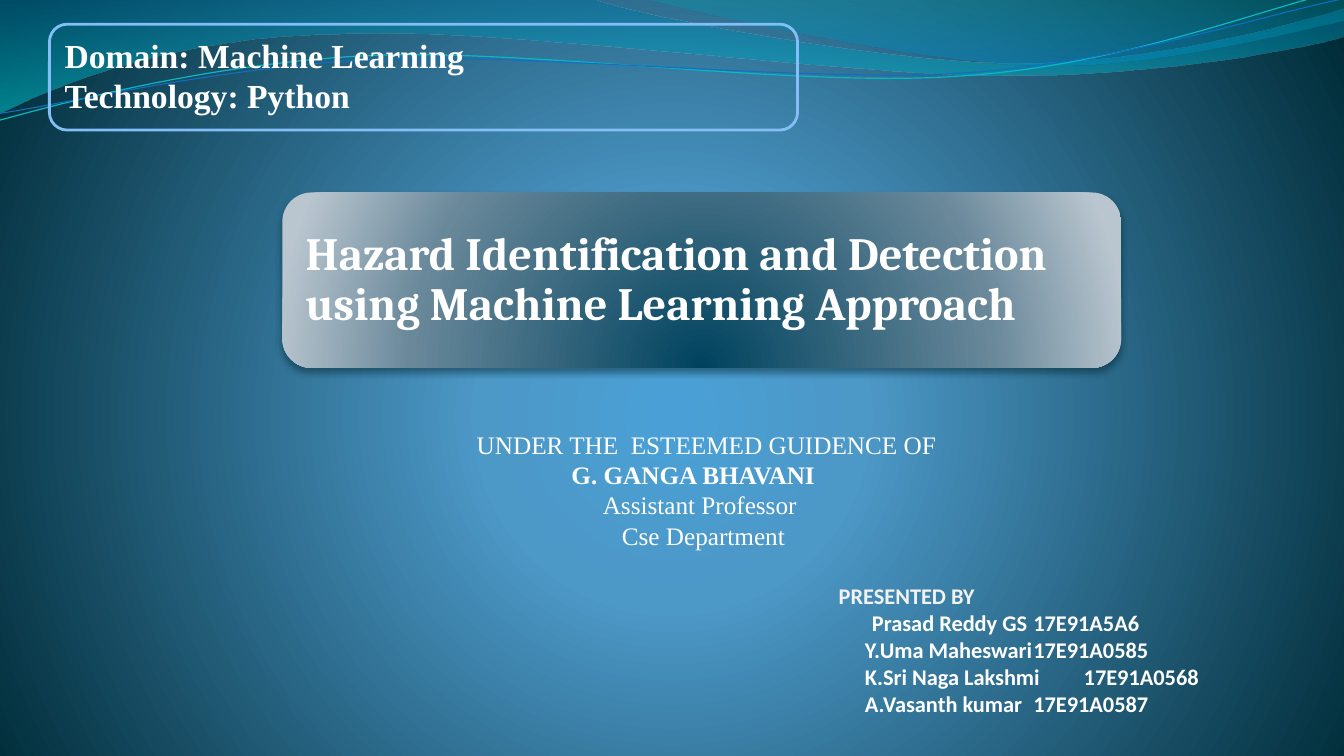
from dataclasses import dataclass
from typing import Any

from lxml.etree import SubElement
from pptx import Presentation
from pptx.dml.color import RGBColor
from pptx.enum.shapes import MSO_SHAPE
from pptx.enum.text import MSO_ANCHOR, PP_ALIGN
from pptx.oxml import parse_xml
from pptx.oxml.ns import nsdecls, qn
from pptx.util import Inches, Pt

WHITE = RGBColor(0xFF, 0xFF, 0xFF)
PALE = RGBColor(0xF2, 0xF2, 0xF2)
FRAME_BLUE = RGBColor(0x83, 0xBF, 0xF6)
TEAL = RGBColor(0x0A, 0xB8, 0xBF)
BLUE = RGBColor(0x0F, 0x6F, 0xC6)
SHADOW = RGBColor(0x00, 0x23, 0x2C)
LINE_TILT = 357.3

Point = tuple[float, float]
Box = tuple[float, float, float, float]


@dataclass
class Stop:
    position: int
    color: RGBColor
    opacity: int = 100


@dataclass
class Wave:
    start: Point
    segments: list[tuple[float, ...]]  # two numbers: line, six: Bezier curve
    gradient: list[Stop] | None = None
    line: RGBColor | None = None
    width: float = 0


@dataclass
class Line:
    text: str
    indent: float = 0
    tab: float = 0
    color: RGBColor = WHITE
    bold: bool = True


BACKGROUND = [Stop(0, RGBColor(0x4A, 0xA0, 0xD6)), Stop(25, RGBColor(0x4C, 0x98, 0xC7)),
              Stop(100, RGBColor(0x00, 0x2C, 0x38))]
TITLE_FILL = [Stop(0, RGBColor(0x00, 0x43, 0x5F)), Stop(68, RGBColor(0x69, 0x88, 0x9A)),
              Stop(100, RGBColor(0xB9, 0xC6, 0xCF))]
WAVES = [
    Wave((0, 0), [(5.87, -0.01), (6.34, 0.17, 8.85, 0.63, 10.11, 0.63),
                  (11.38, 0.63, 12.78, 0.26, 13.33, 0.09), (13.35, 0.36),
                  (13.11, 0.44, 11.6, 0.76, 9.94, 0.75), (8.29, 0.75, 5.09, 0.28, 3.43, 0.34),
                  (1.72, 0.36, 0.61, 0.83, -0.01, 1.13), (0, 0)],
         [Stop(0, RGBColor(0x00, 0x74, 0xA1), 45), Stop(100, RGBColor(0x00, 0xC6, 0xCF), 55)]),
    Wave((6.39, -0.01), [(6.79, 0.11, 9.09, 0.62, 10.25, 0.65),
                         (11.41, 0.69, 12.82, 0.32, 13.33, 0.21), (13.33, 0), (6.39, -0.01)],
         [Stop(0, RGBColor(0x00, 0xA1, 0xA9), 30), Stop(80, RGBColor(0x00, 0x8B, 0xBF), 45)]),
    Wave((-0.03, 0.88), [(0.63, 0.73, 2.11, 0.41, 3.69, 0.41), (5.28, 0.42, 7.88, 0.93, 9.49, 0.89),
                         (11.09, 0.87, 12.54, 0.36, 13.33, 0.22)], line=TEAL, width=0.85),
    Wave((-0.02, 0.81), [(0.62, 0.75, 2.18, 0.45, 3.78, 0.45), (5.37, 0.47, 7.95, 0.88, 9.54, 0.86),
                         (11.14, 0.83, 12.56, 0.42, 13.36, 0.3)], line=BLUE, width=0.75),
]
TITLE = [Line("Hazard Identification and Detection using Machine Learning Approach")]
DOMAIN = [Line("Domain: Machine Learning"), Line("Technology: Python")]
GUIDANCE = [
    Line("UNDER THE  ESTEEMED GUIDENCE OF", 0.07, bold=False),
    Line("G. GANGA BHAVANI", 1.01),
    Line("Assistant Professor", 1.32, bold=False),
    Line("Cse Department", 1.51, bold=False),
]
PRESENTERS = [
    Line("PRESENTED BY", 0.07, color=PALE),
    Line("Prasad Reddy GS\t17E91A5A6", 0.4, 2.29),
    Line("Y.Uma Maheswari\t17E91A0585", 0.33, 2.33),
    Line("K.Sri Naga Lakshmi\t17E91A0568", 0.33, 2.36),
    Line("A.Vasanth kumar\t17E91A0587", 0.33, 2.38),
]


def set_format(target: Any, values: dict[str, Any]) -> None:
    for name, value in values.items():
        setattr(target, name, value)


def set_gradient(fill: Any, owner: Any, stops: list[Stop], center: Box | None = None) -> None:
    """Fill with a downward gradient, or a circular one around center (percent insets)."""
    fill.gradient()
    stop_xml = "".join(
        f'<a:gs pos="{stop.position * 1000}"><a:srgbClr val="{stop.color}">'
        f'<a:alpha val="{stop.opacity * 1000}"/></a:srgbClr></a:gs>' for stop in stops)
    direction = '<a:lin ang="5400000" scaled="0"/>'
    if center:
        sides = " ".join(f'{side}="{value * 1000}"' for side, value in zip("ltrb", center))
        direction = f'<a:path path="circle"><a:fillToRect {sides}/></a:path>'
    current = owner.xpath(".//a:gradFill")[0]
    current.getparent().replace(current, parse_xml(
        f'<a:gradFill {nsdecls("a")} rotWithShape="1"><a:gsLst>{stop_xml}</a:gsLst>'
        f'{direction}</a:gradFill>'))


def bend_segments(shape: Any, segments: list[tuple[float, ...]]) -> None:
    """Join the three lines laid along each curve's control points into one Bezier curve."""
    lines = iter(shape.element.xpath(".//a:lnTo"))
    for segment in segments:
        first = next(lines)
        if len(segment) == 2:
            continue
        first.tag = qn("a:cubicBezTo")
        for line in (next(lines), next(lines)):
            first.append(line[0])
            line.getparent().remove(line)


def draw_wave(slide: Any, wave: Wave) -> None:
    points = [(Inches(x), Inches(y)) for segment in wave.segments
              for x, y in zip(segment[::2], segment[1::2])]
    builder = slide.shapes.build_freeform(*map(Inches, wave.start))
    builder.add_line_segments(points, close=wave.gradient is not None)
    shape = builder.convert_to_shape()
    bend_segments(shape, wave.segments)
    shape.shadow.inherit = False
    if wave.gradient:
        set_gradient(shape.fill, shape.element, wave.gradient)
        shape.line.fill.background()
    else:
        shape.rotation = LINE_TILT
        shape.fill.background()
        shape.line.color.rgb = wave.line
        shape.line.width = Pt(wave.width)


def add_round_box(slide: Any, box: Box) -> Any:
    shape = slide.shapes.add_shape(MSO_SHAPE.ROUNDED_RECTANGLE, *map(Inches, box))
    shape.shadow.inherit = False
    return shape


def write_lines(shape: Any, lines: list[Line], font: str, size: float,
                frame_format: dict[str, Any], spacing: float = 1) -> None:
    frame = shape.text_frame
    set_format(frame, {"word_wrap": True} | frame_format)
    for index, line in enumerate(lines):
        paragraph = frame.paragraphs[0] if index == 0 else frame.add_paragraph()
        set_format(paragraph, {"alignment": PP_ALIGN.LEFT, "line_spacing": spacing})
        properties = paragraph._p.get_or_add_pPr()
        properties.set("marL", "0")
        properties.set("indent", str(Inches(line.indent)))
        if line.tab:
            tabs = SubElement(properties, qn("a:tabLst"))
            SubElement(tabs, qn("a:tab"), pos=str(Inches(line.tab)), algn="l")
        run = paragraph.add_run()
        run.text = line.text
        set_format(run.font, {"name": font, "size": Pt(size), "bold": line.bold})
        run.font.color.rgb = line.color


def add_text(slide: Any, box: Box, *text: Any) -> None:
    write_lines(slide.shapes.add_textbox(*map(Inches, box)), *text)


def main() -> None:
    presentation = Presentation()
    set_format(presentation, {"slide_width": Inches(13.33), "slide_height": Inches(7.5)})
    slide = presentation.slides.add_slide(presentation.slide_layouts[6])

    # Background and waves
    set_gradient(slide.background.fill, slide.element, BACKGROUND, (10, 110, 10, 100))
    for wave in WAVES:
        draw_wave(slide, wave)

    # Title panel
    panel = add_round_box(slide, (2.8, 1.91, 8.32, 1.74))
    set_gradient(panel.fill, panel.element, TITLE_FILL, (50, 130, 50, -30))
    panel.line.fill.background()
    panel.element.xpath(".//a:effectLst")[0].append(parse_xml(
        f'<a:outerShdw {nsdecls("a")} blurRad="{Pt(4.5)}" dist="{Pt(3)}" dir="5400000" '
        f'rotWithShape="0"><a:srgbClr val="{SHADOW}"><a:alpha val="48000"/></a:srgbClr>'
        '</a:outerShdw>'))
    margins = {f"margin_{side}": Inches(0.14) for side in ("left", "top", "right", "bottom")}
    middle = {"vertical_anchor": MSO_ANCHOR.MIDDLE}
    add_text(slide, (2.89, 2, 8.15, 1.57), TITLE, "Cambria", 33, margins | middle, 0.9)

    # Domain frame
    domain = add_round_box(slide, (0.49, 0.24, 7.42, 1.05))
    domain.fill.background()
    domain.line.color.rgb = FRAME_BLUE
    domain.line.width = Pt(2)
    write_lines(domain, DOMAIN, "Times New Roman", 24, middle | {"margin_bottom": Inches(0.09)})

    # Guidance and presenters
    add_text(slide, (4.56, 4.21, 6.68, 1.31), GUIDANCE, "Times New Roman", 18, {})
    add_text(slide, (8.15, 5.73, 6.68, 1.45), PRESENTERS, "Calibri", 16, {})

    presentation.save("out.pptx")


if __name__ == "__main__":
    main()
